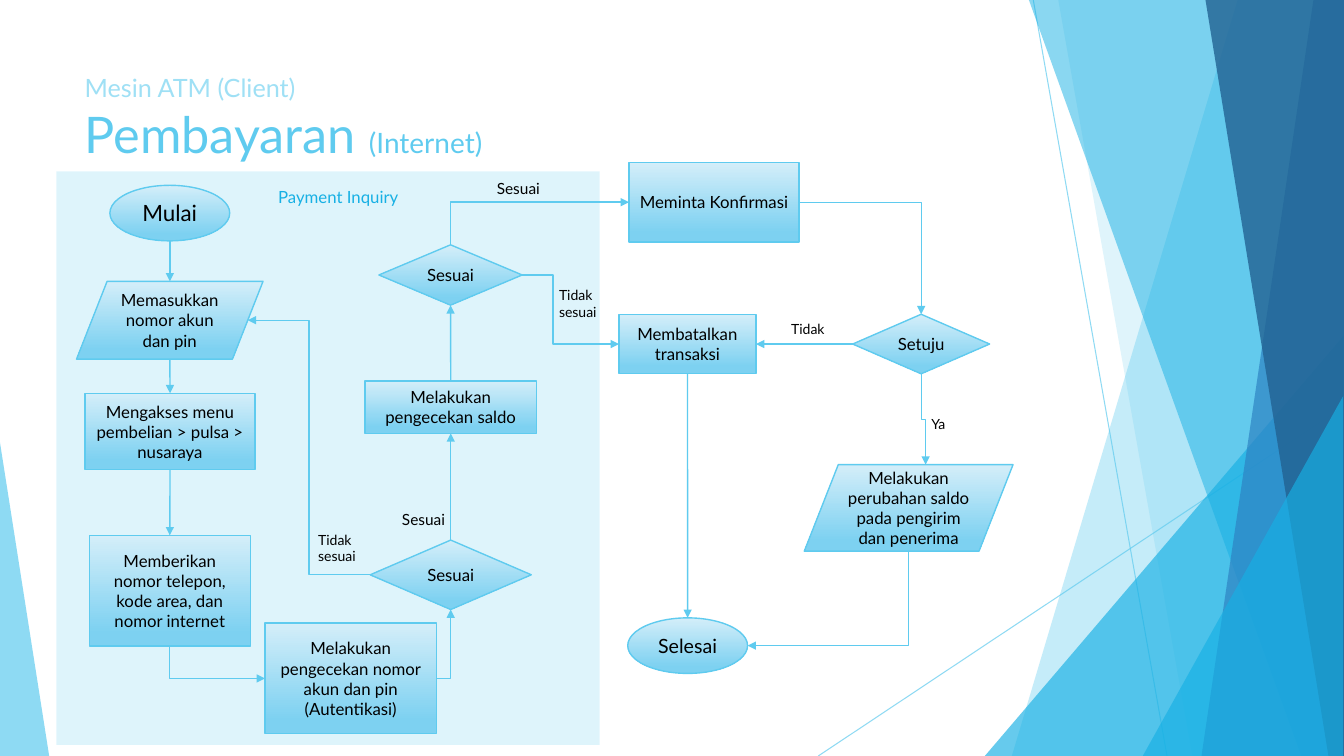
from lxml.etree import SubElement
from pptx import Presentation
from pptx.dml.color import RGBColor
from pptx.enum.shapes import MSO_CONNECTOR, MSO_SHAPE
from pptx.enum.text import MSO_ANCHOR, MSO_AUTO_SIZE, PP_ALIGN
from pptx.oxml.ns import qn
from pptx.util import Cm, Pt

SKY = RGBColor(0x5F, 0xCB, 0xEF)
PALE_SKY = RGBColor(0x9F, 0xE0, 0xF5)
PANEL_BLUE = RGBColor(0xBF, 0xEA, 0xF9)
BRIGHT_BLUE = RGBColor(0x17, 0xB0, 0xE4)
MID_BLUE = RGBColor(0x2E, 0x83, 0xC3)
DEEP_BLUE = RGBColor(0x22, 0x62, 0x92)
GRADIENT_TOP = RGBColor(0xD4, 0xEE, 0xF9)
GRADIENT_BOTTOM = RGBColor(0x7D, 0xD1, 0xF1)
BLACK = RGBColor(0, 0, 0)
FONT = "Lato"
SLIDE_WIDTH, SLIDE_HEIGHT = 33.87, 19.05
SLANT = 0.393

OVAL, BOX = MSO_SHAPE.OVAL, MSO_SHAPE.RECTANGLE
DATA, DECISION = MSO_SHAPE.PARALLELOGRAM, MSO_SHAPE.DIAMOND

TITLE = [("Mesin ATM (Client)", 18, PALE_SKY), ("Pembayaran ", 36, SKY), ("(Internet)", 20, SKY)]
THIN_LINES = [(26.04, 0, 29.41, SLIDE_HEIGHT), (SLIDE_WIDTH, 10.24, 20.62, SLIDE_HEIGHT)]
BANDS = [
    ("band", (31.19, 25.5), SKY, 36),
    ("band", (26.67, 30.05), SKY, 20),
    ("triangle", (24.82, 8.46, 9.04, 10.59, 1), BRIGHT_BLUE, 66),
    ("band", (25.93, 32.79), BRIGHT_BLUE, 50),
    ("band", (33.1, 30.28), MID_BLUE, 70),
    ("band", (30.38, 33.48), DEEP_BLUE, 80),
    ("triangle", (28.8, 9.98, 5.05, 9.07, 1), BRIGHT_BLUE, 66),
    ("triangle", (0, 11.15, 1.24, 7.9, 0), SKY, 70),
]
STEPS = {
    "start": (OVAL, 2.77, 4.67, 3.02, 1.4, 16, ["Mulai"]),
    "end": (OVAL, 15.82, 15.57, 3.02, 1.4, 14, ["Selesai"]),
    "confirm": (BOX, 15.85, 4.09, 4.29, 2.01, 12, ["Meminta Konfirmasi"]),
    "account": (DATA, 1.93, 7.09, 4.7, 1.96, 12, ["Memasukkan nomor akun dan pin"]),
    "login check": (DECISION, 9.33, 13.61, 4.06, 1.75, 12, ["Sesuai"]),
    "update": (DATA, 20.27, 11.71, 5.26, 2.18, 12,
               ["Melakukan perubahan saldo pada pengirim dan penerima"]),
    "menu": (BOX, 2.14, 9.91, 4.29, 1.93, 12, ["Mengakses menu pembelian > pulsa > nusaraya"]),
    "number": (BOX, 2.25, 13.49, 4.06, 2.79, 12,
               ["Memberikan nomor telepon, kode area, dan nomor internet"]),
    "balance check": (DECISION, 9.55, 6.17, 3.61, 1.52, 12, ["Sesuai"]),
    "agree": (DECISION, 21.49, 7.92, 3.45, 1.5, 12, ["Setuju"]),
    "cancel": (BOX, 15.6, 7.92, 3.45, 1.5, 12, ["Membatalkan", "transaksi"]),
    "login": (BOX, 6.68, 15.7, 4.32, 2.79, 12,
              ["Melakukan pengecekan nomor akun dan pin", "(Autentikasi)"]),
    "balance": (BOX, 9.2, 9.6, 4.32, 1.32, 12, ["Melakukan pengecekan saldo"]),
}
TOP, LEFT, BOTTOM, RIGHT, TOP_SITE = 0, 1, 2, 3, 4
LINKS = [
    ("start", BOTTOM, "account", TOP, 0.5),
    ("account", BOTTOM, "menu", TOP, 0.5),
    ("menu", BOTTOM, "number", TOP, 0.5),
    ("number", BOTTOM, "login", LEFT, 0.5),
    ("login", RIGHT, "login check", BOTTOM, 0.5),
    ("login check", LEFT, "account", RIGHT, 0.5),
    ("login check", TOP, "balance", BOTTOM, 0.5),
    ("balance", TOP, "balance check", BOTTOM, 0.5),
    ("balance check", TOP, "confirm", LEFT, 0.5),
    ("balance check", RIGHT, "cancel", LEFT, 0.32),
    ("confirm", RIGHT, "agree", TOP, 0.5),
    ("agree", LEFT, "cancel", RIGHT, 0.5),
    ("agree", BOTTOM, "update", TOP_SITE, 0.5),
    ("cancel", BOTTOM, "end", TOP, 0.5),
    ("update", BOTTOM, "end", RIGHT, 0.5),
]
LABELS = [
    (9.88, 12.73, 1.6, 0.74, 11, BLACK, ["Sesuai"]),
    (7.77, 13.26, 1.5, 1.12, 10, BLACK, ["Tidak", "sesuai"]),
    (6.76, 4.57, 3.61, 0.76, 12, BRIGHT_BLUE, ["Payment Inquiry"]),
    (12.27, 4.39, 1.6, 0.74, 11, BLACK, ["Sesuai"]),
    (13.84, 7.09, 1.5, 1.12, 10, BLACK, ["Tidak", "sesuai"]),
    (23.22, 10.34, 0.91, 0.69, 10, BLACK, ["Ya"]),
    (19.69, 7.95, 1.4, 0.69, 10, BLACK, ["Tidak"]),
]


def add_run(paragraph, text, size, color):
    run = paragraph.add_run()
    run.text = text
    run.font.name, run.font.size = FONT, Pt(size)
    run.font.color.rgb = color


def write(frame, lines, size, color, alignment):
    for index, line in enumerate(lines):
        paragraph = frame.add_paragraph() if index else frame.paragraphs[0]
        paragraph.alignment = alignment
        add_run(paragraph, line, size, color)


def set_opacity(properties, percent):
    color = next(properties.iter(qn("a:srgbClr")))
    SubElement(color, qn("a:alpha")).set("val", str(percent * 1000))


def paint(shape, color, opacity):
    shape.shadow.inherit = False
    shape.fill.solid()
    shape.fill.fore_color.rgb = color
    set_opacity(shape._element.spPr, opacity)
    shape.line.fill.background()


def add_line(kind, points, width):
    connector = slide.shapes.add_connector(kind, *map(Cm, points))
    connector.line.color.rgb = SKY
    connector.line.width = Pt(width)
    SubElement(connector._element.spPr, qn("a:effectLst"))
    return connector


def add_arrowhead(connector):
    SubElement(connector.line._get_or_add_ln(), qn("a:tailEnd")).set("type", "triangle")


def site(name, side):
    kind, left, top, width, height = STEPS[name][:5]
    inset = SLANT * height / 2 if kind == DATA else 0
    middle_x, middle_y = left + width / 2, top + height / 2
    return {TOP: (middle_x, top), LEFT: (left + inset, middle_y),
            BOTTOM: (middle_x, top + height), RIGHT: (left + width - inset, middle_y),
            TOP_SITE: (middle_x + inset, top)}[side]


def add_elbow(start, end, vertical, single_bend, bend):
    run_x, run_y = end[0] - start[0], end[1] - start[1]
    along, across = (abs(run_y), abs(run_x)) if vertical else (abs(run_x), abs(run_y))
    connector = add_line(MSO_CONNECTOR.ELBOW, (0, 0, along, across), 1)
    connector.left = Cm((start[0] + end[0] - along) / 2)
    connector.top = Cm((start[1] + end[1] - across) / 2)
    frame = connector._element.spPr.find(qn("a:xfrm"))
    flip_along, flip_across = (run_y < 0, run_x > 0) if vertical else (run_x < 0, run_y < 0)
    frame.set("rot", "5400000" if vertical else "0")
    frame.set("flipH", str(int(flip_along)))
    frame.set("flipV", str(int(flip_across)))
    geometry = connector._element.spPr.find(qn("a:prstGeom"))
    if single_bend:
        geometry.set("prst", "bentConnector2")
    else:
        guide = SubElement(geometry.find(qn("a:avLst")), qn("a:gd"))
        guide.set("name", "adj1")
        guide.set("fmla", f"val {round(bend * 100000)}")
    return connector


presentation = Presentation()
presentation.slide_width, presentation.slide_height = Cm(SLIDE_WIDTH), Cm(SLIDE_HEIGHT)
slide = presentation.slides.add_slide(presentation.slide_layouts[5])

for points in THIN_LINES:
    thin_line = add_line(MSO_CONNECTOR.STRAIGHT, points, 0.75)
    set_opacity(thin_line._element.spPr, 70)

for kind, place, color, opacity in BANDS:
    if kind == "band":
        top_x, bottom_x = place
        builder = slide.shapes.build_freeform(Cm(top_x), 0)
        corners = [(SLIDE_WIDTH, 0), (SLIDE_WIDTH, SLIDE_HEIGHT), (bottom_x, SLIDE_HEIGHT)]
        builder.add_line_segments([(Cm(x), Cm(y)) for x, y in corners], close=True)
        shape = builder.convert_to_shape()
    else:
        shape = slide.shapes.add_shape(MSO_SHAPE.ISOSCELES_TRIANGLE, *map(Cm, place[:4]))
        shape.adjustments[0] = place[4]
    paint(shape, color, opacity)

panel = slide.shapes.add_shape(BOX, Cm(1.42), Cm(4.32), Cm(13.69), Cm(14.45))
paint(panel, PANEL_BLUE, 50)

title = slide.shapes.title
title.left, title.top, title.width, title.height = Cm(1.88), Cm(1.7), Cm(13.97), Cm(2.59)
title.text_frame.auto_size = MSO_AUTO_SIZE.NONE
title.text_frame.vertical_anchor = MSO_ANCHOR.TOP
heading = title.text_frame.paragraphs[0]
heading.alignment = PP_ALIGN.LEFT
for index, (text, size, color) in enumerate(TITLE):
    if index == 1:
        heading.add_line_break()
    add_run(heading, text, size, color)

step_shapes = {}
for name, (kind, left, top, width, height, size, lines) in STEPS.items():
    shape = slide.shapes.add_shape(kind, Cm(left), Cm(top), Cm(width), Cm(height))
    shape.shadow.inherit = False
    if kind == DATA:
        shape.adjustments[0] = SLANT
    shape.fill.gradient()
    shape.fill.gradient_angle = 270
    stops = zip(shape.fill.gradient_stops, ((0, GRADIENT_TOP), (0.88, GRADIENT_BOTTOM)))
    for stop, (position, color) in stops:
        stop.position = position
        stop.color.rgb = color
    shape.line.color.rgb = SKY
    shape.line.width = Pt(1)
    shape.text_frame.vertical_anchor = MSO_ANCHOR.MIDDLE
    write(shape.text_frame, lines, size, BLACK, PP_ALIGN.CENTER)
    step_shapes[name] = shape

for source, source_side, target, target_side, bend in LINKS:
    start, end = site(source, source_side), site(target, target_side)
    vertical = source_side in (TOP, BOTTOM)
    single_bend = vertical != (target_side in (TOP, BOTTOM, TOP_SITE))
    if min(abs(start[0] - end[0]), abs(start[1] - end[1])) < 0.05:
        connector = add_line(MSO_CONNECTOR.STRAIGHT, start + end, 1)
        if STEPS[source][0] in (BOX, DECISION):
            connector.begin_connect(step_shapes[source], source_side)
        if STEPS[target][0] in (BOX, DECISION):
            connector.end_connect(step_shapes[target], target_side)
    else:
        connector = add_elbow(start, end, vertical, single_bend, bend)
    add_arrowhead(connector)

for left, top, width, height, size, color, lines in LABELS:
    label = slide.shapes.add_textbox(Cm(left), Cm(top), Cm(width), Cm(height))
    label.text_frame.word_wrap = False
    label.text_frame.auto_size = MSO_AUTO_SIZE.SHAPE_TO_FIT_TEXT
    write(label.text_frame, lines, size, color, PP_ALIGN.LEFT)

presentation.save("out.pptx")
